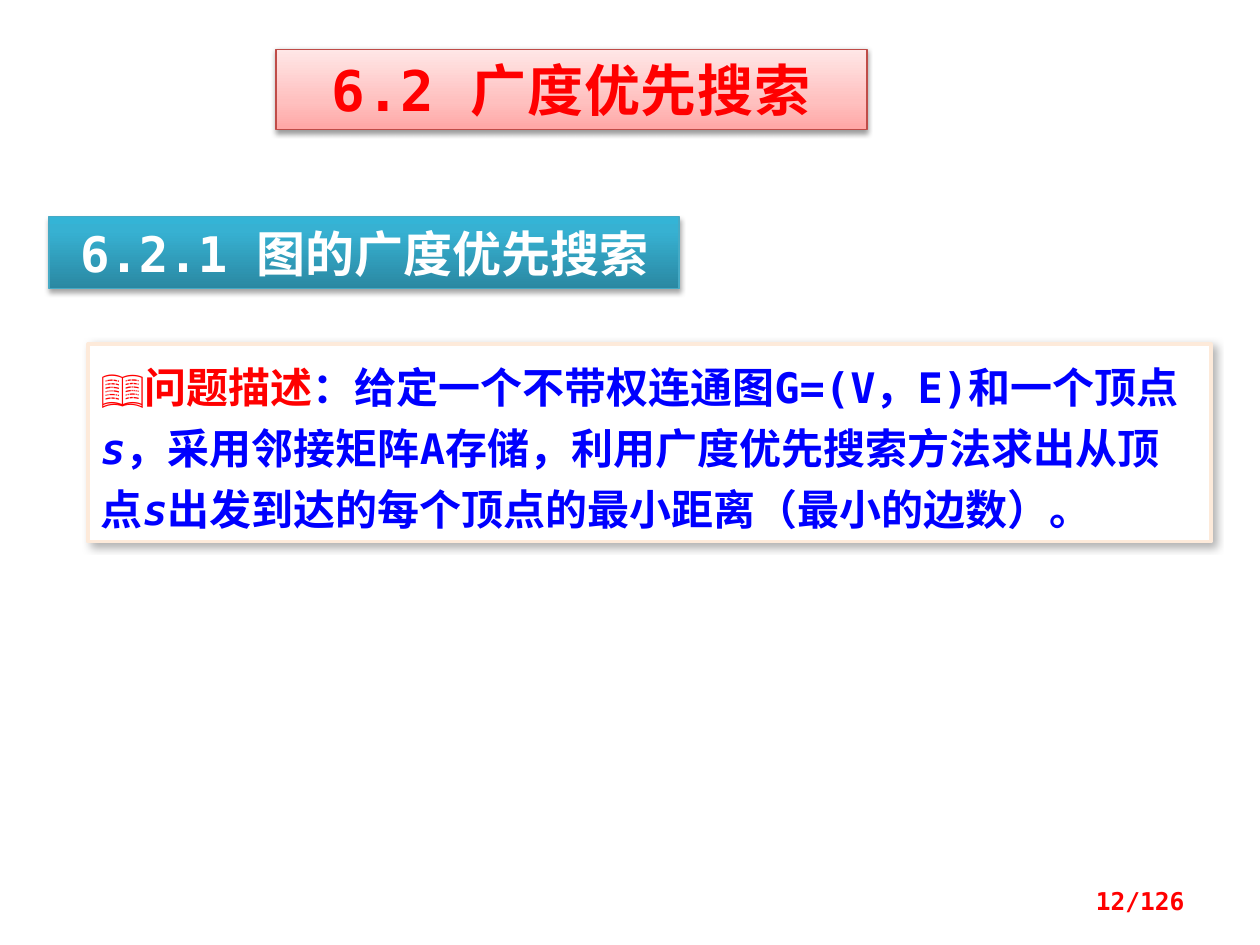
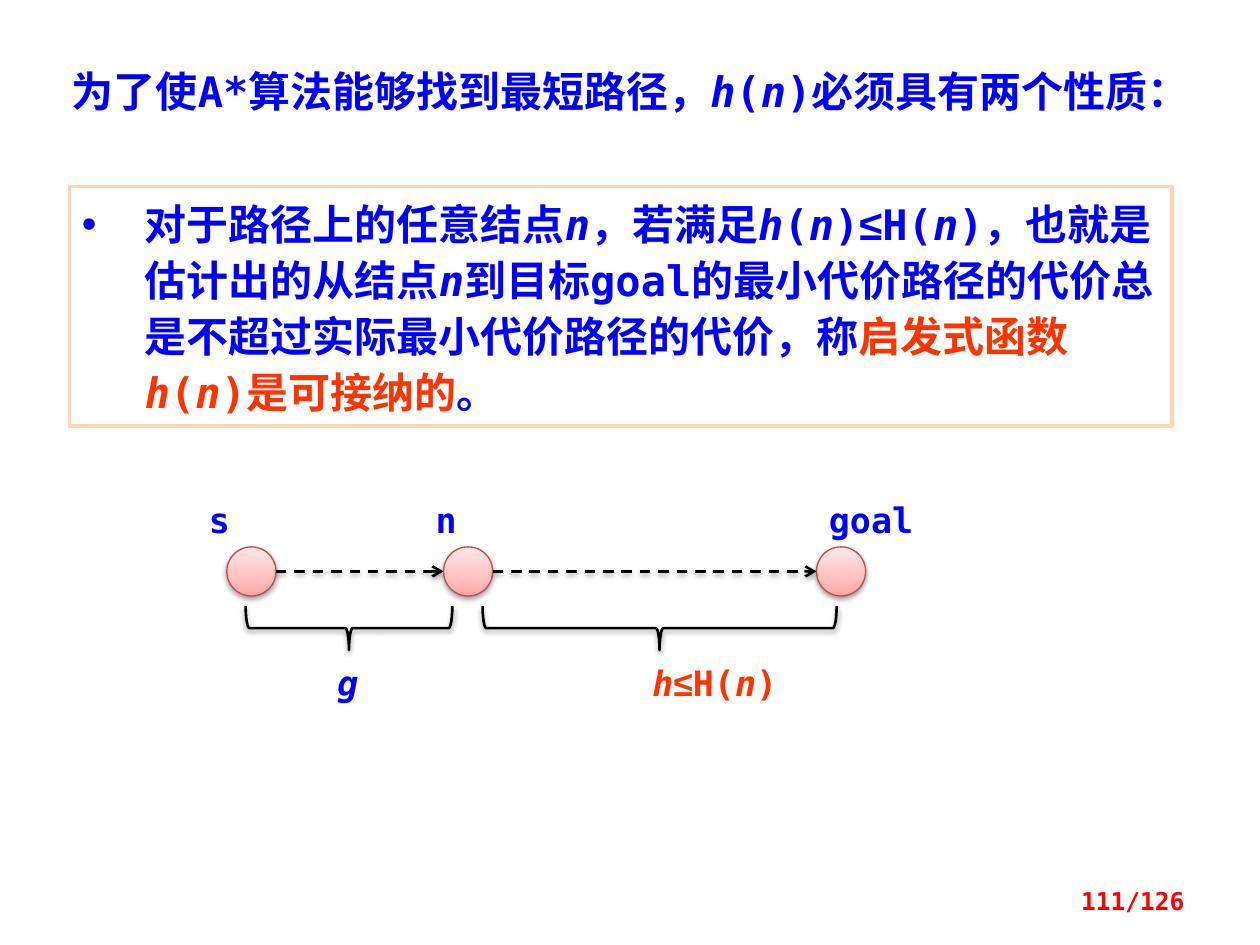
import itertools

import pptx
import pptx.util
import pptx.dml.color
import pptx.enum.dml
import pptx.enum.shapes
import pptx.enum.text
import pptx.oxml.ns
from lxml import etree

Inches, Pt = pptx.util.Inches, pptx.util.Pt
RGB = pptx.dml.color.RGBColor
SHAPE = pptx.enum.shapes.MSO_SHAPE
ALIGN = pptx.enum.text.PP_ALIGN
ANCHOR = pptx.enum.text.MSO_ANCHOR
qn = pptx.oxml.ns.qn

# Shared style
COLORS = {
    "blue": "0000FF", "red": "FF0000", "orange": "FF3300", "white": "FFFFFF",
    "black": "000000", "pink_edge": "BF4C48", "teal_edge": "46AAC5",
    "cream": "FDEADA", "peach": "FCD5B5",
}
PINK = [(0, "FFA6A5"), (35, "FFC0BF"), (100, "FFE7E7")]
TEAL = [(0, "2A88A2"), (80, "37B1D2"), (100, "34B4D6")]
MONO, SYMBOL = "DejaVu Sans Mono", "Arial"
# Shadow: opacity %, blur pt, distance pt, direction in degrees
SOFT_SHADOW = (38, 3.1, 1.6, 90)
TEAL_SHADOW = (35, 3.1, 1.8, 90)
BOX_SHADOW = (30, 4.5, 2.6, 53)
PAGE_COUNT = 126


def rgb(name):
    return RGB.from_string(COLORS[name])


def place(shape, left, top, width, height):
    shape.left, shape.top = Inches(left), Inches(top)
    shape.width, shape.height = Inches(width), Inches(height)


def write(shape, text, color="blue", size=24, bold=True, align=ALIGN.LEFT,
          anchor=ANCHOR.TOP, line_pt=None, bullet=False, spacing=None):
    """Text is a string or (string, colour) pairs; _x_ marks italics."""
    frame = shape.text_frame
    frame.word_wrap = True
    frame.auto_size = pptx.enum.text.MSO_AUTO_SIZE.NONE
    frame.vertical_anchor = anchor
    paragraph = frame.paragraphs[0]
    paragraph.alignment = align
    paragraph.space_before = Pt(0)
    if line_pt:
        paragraph.line_spacing = Pt(line_pt)
    if bullet:
        props = paragraph._p.get_or_add_pPr()
        props.set("marL", str(Inches(0.5)))
        props.set("indent", str(-Inches(0.5)))
        etree.SubElement(props, qn("a:buFont")).set("typeface", SYMBOL)
        etree.SubElement(props, qn("a:buChar")).set("char", "•")
    pieces = [(text, color)] if isinstance(text, str) else text
    for piece, piece_color in pieces:
        for index, part in enumerate(piece.split("_")):
            for is_symbol, chars in itertools.groupby(part, lambda c: c == "≤"):
                run = paragraph.add_run()
                run.text = "".join(chars)
                font = run.font
                font.name = SYMBOL if is_symbol else MONO
                font.size, font.bold = Pt(size), bold
                font.italic = index % 2 == 1
                font.color.rgb = rgb(piece_color)
                if spacing:
                    run._r.get_or_add_rPr().set("spc", str(int(spacing * 100)))


def add_shadow(shape, shadow):
    props = shape._element.spPr
    effects = props.find(qn("a:effectLst"))
    if effects is None:
        effects = etree.SubElement(props, qn("a:effectLst"))
    opacity, blur, distance, direction = shadow
    outer = etree.SubElement(
        effects, qn("a:outerShdw"), blurRad=str(Pt(blur)), dist=str(Pt(distance)),
        dir=str(direction * 60000), rotWithShape="0")
    tint = etree.SubElement(outer, qn("a:srgbClr"), val=COLORS["black"])
    etree.SubElement(tint, qn("a:alpha"), val=str(opacity * 1000))


def decorate(shape, fill, edge, edge_pt, shadow=None):
    """Fill is None, a colour name or a list of gradient stops."""
    if fill is None:
        shape.fill.background()
    elif isinstance(fill, str):
        shape.fill.solid()
        shape.fill.fore_color.rgb = rgb(fill)
    else:
        shape.fill.gradient()
        shape.fill.gradient_angle = 90
        stops = shape._element.spPr.find(qn("a:gradFill")).find(qn("a:gsLst"))
        for stop in list(stops):
            stops.remove(stop)
        for position, value in fill:
            stop = etree.SubElement(stops, qn("a:gs"), pos=str(position * 1000))
            etree.SubElement(stop, qn("a:srgbClr"), val=value)
    shape.line.color.rgb = rgb(edge)
    shape.line.width = Pt(edge_pt)
    shape.shadow.inherit = False
    if shadow:
        add_shadow(shape, shadow)


def add_box(slide, kind, at, fill, edge, edge_pt, shadow):
    box = slide.shapes.add_shape(kind, *map(Inches, at))
    decorate(box, fill, edge, edge_pt, shadow)
    return box


def add_label(slide, at, text, **style):
    label = slide.shapes.add_textbox(*map(Inches, at))
    write(label, text, **style)


def add_page_number(slide, number):
    add_label(slide, (7.17, 6.95, 2.33, 0.4), f"{number}/{PAGE_COUNT}", color="red",
              size=14, align=ALIGN.RIGHT, anchor=ANCHOR.MIDDLE)


def add_dashed_arrow(slide, start, end, y):
    arrow = slide.shapes.add_connector(
        pptx.enum.shapes.MSO_CONNECTOR.STRAIGHT,
        Inches(start), Inches(y), Inches(end), Inches(y))
    arrow.line.color.rgb = rgb("black")
    arrow.line.width = Pt(1.5)
    arrow.line.dash_style = pptx.enum.dml.MSO_LINE.DASH
    etree.SubElement(arrow.line._get_or_add_ln(), qn("a:tailEnd"), type="arrow")
    add_shadow(arrow, SOFT_SHADOW)


def add_brace_below(slide, start, end, top, depth=0.35):
    """A left brace turned to point down, spanning start to end."""
    span = end - start
    at = ((start + end - depth) / 2, top + (depth - span) / 2, depth, span)
    brace = add_box(slide, SHAPE.LEFT_BRACE, at, None, "black", 1.5, SOFT_SHADOW)
    brace.rotation = 270


def build_search_slide(deck):
    slide = deck.slides.add_slide(deck.slide_layouts[5])
    title = slide.shapes.title
    place(title, 2.19, 0.39, 4.69, 0.64)
    decorate(title, PINK, "pink_edge", 0.75, SOFT_SHADOW)
    write(title, "6.2 广度优先搜索", color="red", size=32, align=ALIGN.CENTER,
          anchor=ANCHOR.MIDDLE, spacing=0.5)

    section = add_box(slide, SHAPE.RECTANGLE, (0.39, 1.72, 5, 0.57),
                      TEAL, "teal_edge", 0.75, TEAL_SHADOW)
    write(section, "6.2.1 图的广度优先搜索", color="white", size=28,
          align=ALIGN.CENTER, anchor=ANCHOR.MIDDLE)

    problem = add_box(slide, SHAPE.RECTANGLE, (0.7, 2.73, 8.91, 1.57),
                      "white", "cream", 2, BOX_SHADOW)
    write(problem, [
        ("📖问题描述", "red"),
        ("：给定一个不带权连通图G=(V，E)和一个顶点_s_，采用邻接矩阵A存储，"
         "利用广度优先搜索方法求出从顶点_s_出发到达的每个顶点的最小距离"
         "（最小的边数）。", "blue"),
    ], line_pt=35)
    add_page_number(slide, 12)


def build_heuristic_slide(deck):
    slide = deck.slides.add_slide(deck.slide_layouts[1])
    title, property_list = slide.placeholders
    place(title, 0.47, 0.47, 9.22, 0.9)
    write(title, "为了使A*算法能够找到最短路径，_h_(_n_)必须具有两个性质：")

    place(property_list, 0.55, 1.48, 8.75, 1.9)
    decorate(property_list, "white", "peach", 2)
    write(property_list, [
        ("对于路径上的任意结点_n_，若满足_h_(_n_)≤H(_n_)，也就是估计出的从结点_n_"
         "到目标goal的最小代价路径的代价总是不超过实际最小代价路径的代价，称", "blue"),
        ("启发式函数_h_(_n_)是可接纳的", "orange"),
        ("。", "blue"),
    ], line_pt=32, bullet=True)

    # Path from s through n to goal
    node_size, node_top = 0.39, 4.34
    node_lefts = [1.8, 3.52, 6.48]
    for left in node_lefts:
        add_box(slide, SHAPE.OVAL, (left, node_top, node_size, node_size),
                PINK, "pink_edge", 0.75, SOFT_SHADOW)
    for left, next_left in itertools.pairwise(node_lefts):
        add_dashed_arrow(slide, left + node_size, next_left, node_top + node_size / 2)
    for name, left, width in [("s", 1.56, 0.39), ("n", 3.36, 0.39), ("goal", 6.48, 1.17)]:
        add_label(slide, (left, 3.91, width, 0.44), name, size=20)

    # Cost of each part of the path
    costs = [(1.95, 3.59, "_g_", "blue", 2.58, 0.39),
             (3.83, 6.64, "_h_≤H(_n_)", "orange", 5.08, 1.64)]
    for start, end, cost, color, left, width in costs:
        add_brace_below(slide, start, end, 4.81)
        add_label(slide, (left, 5.2, width, 0.44), cost, color=color, size=20)
    add_page_number(slide, 111)


def main():
    deck = pptx.Presentation()
    deck.slide_width, deck.slide_height = Inches(10), Inches(7.5)
    build_search_slide(deck)
    build_heuristic_slide(deck)
    deck.save("out.pptx")


if __name__ == "__main__":
    main()
